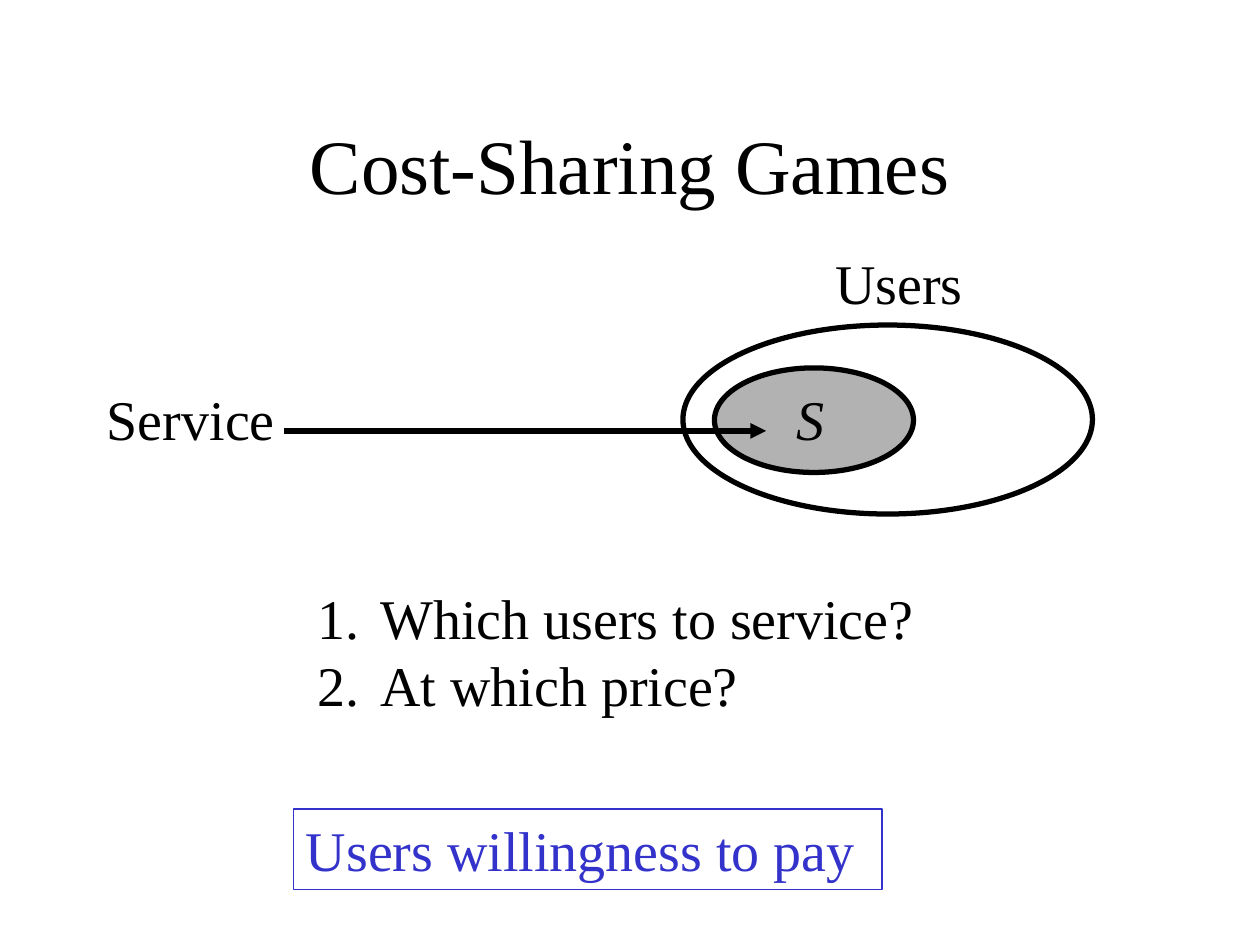
from lxml import etree
from pptx import Presentation
from pptx.dml.color import RGBColor
from pptx.enum.shapes import MSO_CONNECTOR, MSO_SHAPE
from pptx.enum.text import MSO_ANCHOR, MSO_AUTO_SIZE, PP_ALIGN
from pptx.oxml.ns import qn
from pptx.util import Inches, Pt

COLORS = {"black": "000000", "gray": "B2B2B2", "blue": "3333CC"}
LEFT, CENTER = PP_ALIGN.LEFT, PP_ALIGN.CENTER

presentation = Presentation()
presentation.slide_width, presentation.slide_height = Inches(10), Inches(7.5)
slide = presentation.slides.add_slide(presentation.slide_layouts[6])


def add_outline(kind, box, line_color, line_width, fill=None):
    """Add a preset shape that is hollow unless a fill is named."""
    shape = slide.shapes.add_shape(kind, *map(Inches, box))
    shape.shadow.inherit = False
    if fill:
        shape.fill.solid()
        shape.fill.fore_color.rgb = RGBColor.from_string(COLORS[fill])
    else:
        shape.fill.background()
    shape.line.color.rgb = RGBColor.from_string(COLORS[line_color])
    shape.line.width = Pt(line_width)
    return shape


def write_text(shape, lines, align=LEFT, size=32, color="black", italic=None,
               wrap=False, anchor=MSO_ANCHOR.TOP):
    frame = shape.text_frame
    frame.word_wrap = wrap
    frame.auto_size = MSO_AUTO_SIZE.NONE if wrap else MSO_AUTO_SIZE.SHAPE_TO_FIT_TEXT
    frame.vertical_anchor = anchor
    frame.text = "\n".join(lines)
    font_format = {"name": "Times New Roman", "size": Pt(size), "italic": italic}
    for paragraph in frame.paragraphs:
        paragraph.alignment = align
        font = paragraph.runs[0].font
        for name, value in font_format.items():
            setattr(font, name, value)
        font.color.rgb = RGBColor.from_string(COLORS[color])
    return frame


# Set of users, the serviced subset S, and the service arrow
add_outline(MSO_SHAPE.OVAL, (5.42, 2.58, 3.25, 1.5), "black", 3)
add_outline(MSO_SHAPE.OVAL, (5.67, 2.92, 1.58, 0.83), "black", 3, "gray")

arrow = slide.shapes.add_connector(
    MSO_CONNECTOR.STRAIGHT, Inches(2.25), Inches(3.42), Inches(6.08), Inches(3.42))
arrow.line.color.rgb = RGBColor.from_string(COLORS["black"])
arrow.line.width = Pt(3)
etree.SubElement(arrow.line._get_or_add_ln(), qn("a:tailEnd"), type="triangle")
etree.SubElement(arrow._element.spPr, qn("a:effectLst"))

# Title, labels and questions
texts = {
    "title": ((0.75, 0.67, 8.5, 1.25), ["Cost-Sharing Games"],
              {"align": CENTER, "size": 44, "wrap": True, "anchor": MSO_ANCHOR.MIDDLE}),
    "subset": ((6.22, 3, 0.42, 0.64), ["S"], {"align": CENTER, "italic": True}),
    "users": ((6.51, 1.92, 1.25, 0.64), ["Users"], {"align": CENTER}),
    "service": ((0.75, 3, 1.57, 0.64), ["Service"], {}),
    "questions": ((2.42, 4.58, 4.94, 1.17),
                  ["Which users to service?", "At which price?"], {}),
}
frames = {}
for name, (box, lines, options) in texts.items():
    text_box = slide.shapes.add_textbox(*map(Inches, box))
    frames[name] = write_text(text_box, lines, **options)

for paragraph in frames["questions"].paragraphs:
    properties = paragraph._p.get_or_add_pPr()
    properties.set("marL", str(Inches(0.5)))
    properties.set("indent", str(Inches(-0.5)))
    etree.SubElement(properties, qn("a:buFont"), typeface="Times New Roman")
    etree.SubElement(properties, qn("a:buAutoNum"), type="arabicPeriod")

# Framed remark
remark = add_outline(MSO_SHAPE.RECTANGLE, (2.33, 6.42, 4.67, 0.64), "blue", 0.75)
write_text(remark, ["Users willingness to pay"], color="blue", wrap=True)

presentation.save("out.pptx")
